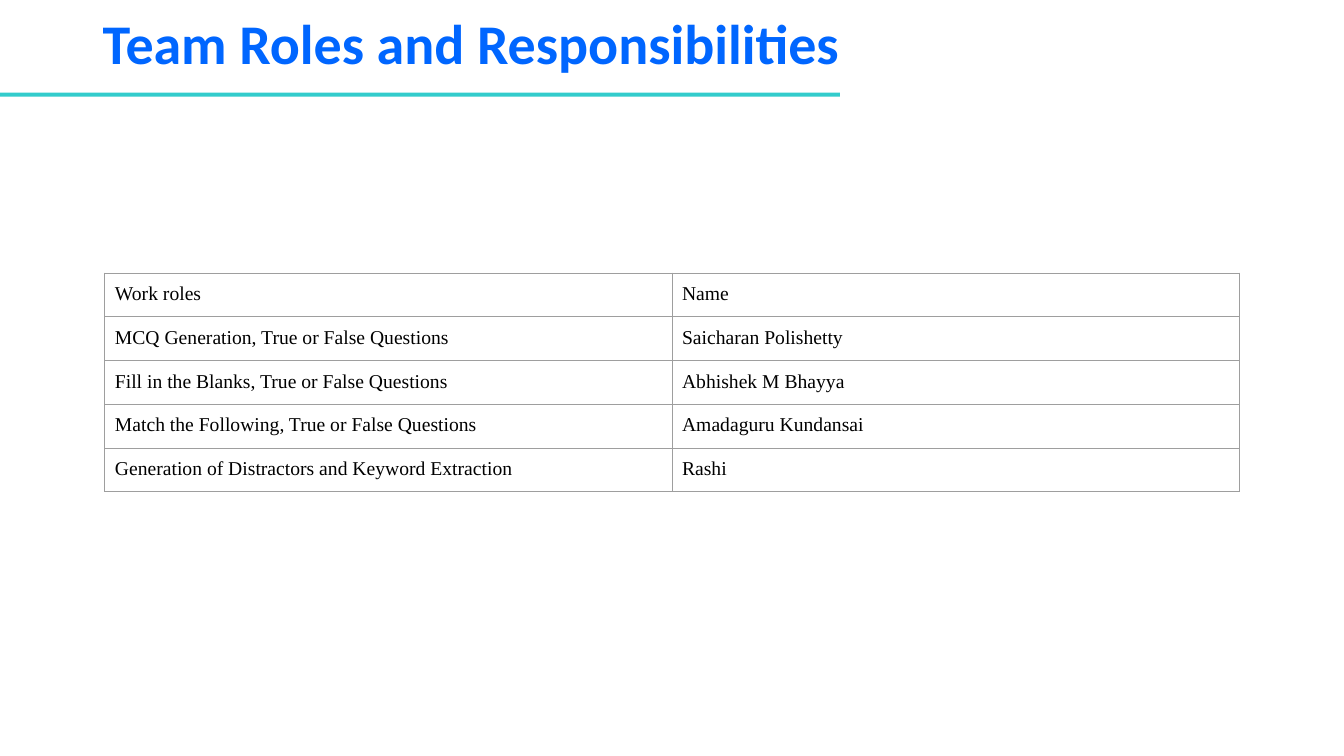
"""Builds the team roles and responsibilities slide."""
import dataclasses

import lxml.etree
import pptx
import pptx.dml.color
import pptx.enum.shapes
import pptx.enum.text
import pptx.oxml.ns
import pptx.util

Inches = pptx.util.Inches
Pt = pptx.util.Pt
RGB = pptx.dml.color.RGBColor.from_string


@dataclasses.dataclass(frozen=True)
class Theme:
    """Colours, fonts and type sizes of the slide."""
    title_color: str = "0066FF"
    rule_color: str = "33CCCC"
    text_color: str = "000000"
    border_color: str = "9E9E9E"
    title_font: str = "Calibri"
    body_font: str = "Times New Roman"
    title_size: int = 40
    body_size: int = 14
    border_width: float = 0.75


class Deck:
    """Holds the theme and the current slide."""

    def __init__(self, theme):
        self.theme = theme
        self.prs = pptx.Presentation()
        self.prs.slide_width = Inches(13.33)
        self.prs.slide_height = Inches(7.5)
        self.s = self.prs.slides.add_slide(self.prs.slide_layouts[6])

    def run(self, p, text, font, size, color, bold=False):
        """Adds one styled run to a paragraph."""
        r = p.add_run()
        r.text = text
        r.font.name = font
        r.font.size = Pt(size)
        r.font.bold = bold
        r.font.color.rgb = RGB(color)

    def bar(self, x, y, w, h):
        """Draws the rule below the title."""
        sp = self.s.shapes.add_shape(
            pptx.enum.shapes.MSO_SHAPE.RECTANGLE,
            Inches(x), Inches(y), Inches(w), Inches(h))
        sp.shadow.inherit = False
        sp.fill.solid()
        sp.fill.fore_color.rgb = RGB(self.theme.rule_color)
        sp.line.fill.background()

    def title(self, text, x, y, w, h):
        """Writes the slide title."""
        t = self.theme
        sp = self.s.shapes.add_textbox(Inches(x), Inches(y), Inches(w), Inches(h))
        tf = sp.text_frame
        tf.word_wrap = True
        tf.vertical_anchor = pptx.enum.text.MSO_ANCHOR.MIDDLE
        p = tf.paragraphs[0]
        p.line_spacing = 0.9
        self.run(p, text, t.title_font, t.title_size, t.title_color, bold=True)

    def border(self, cell):
        """Outlines the four sides of a cell."""
        qn = pptx.oxml.ns.qn
        tc_pr = cell._tc.get_or_add_tcPr()
        for i, side in enumerate(("a:lnL", "a:lnR", "a:lnT", "a:lnB")):
            ln = lxml.etree.Element(qn(side), w=str(Pt(self.theme.border_width)))
            fill = lxml.etree.SubElement(ln, qn("a:solidFill"))
            lxml.etree.SubElement(fill, qn("a:srgbClr"), val=self.theme.border_color)
            tc_pr.insert(i, ln)

    def table(self, rows, x, y, w, h):
        """Adds a plain bordered table."""
        t = self.theme
        tbl = self.s.shapes.add_table(
            len(rows), len(rows[0]), Inches(x), Inches(y), Inches(w), Inches(h)).table
        tbl.first_row = False
        tbl.horz_banding = False
        for i, row in enumerate(rows):
            for j, text in enumerate(row):
                cell = tbl.cell(i, j)
                cell.fill.background()
                cell.margin_left = cell.margin_right = Inches(0.1)
                cell.margin_top = cell.margin_bottom = Inches(0.1)
                self.border(cell)
                self.run(cell.text_frame.paragraphs[0], text,
                         t.body_font, t.body_size, t.text_color)

    def save(self):
        """Saves the presentation."""
        self.prs.save("out.pptx")


ROLES = [
    ("Work roles", "Name"),
    ("MCQ Generation, True or False Questions", "Saicharan Polishetty"),
    ("Fill in the Blanks, True or False Questions", "Abhishek M Bhayya"),
    ("Match the Following, True or False Questions", "Amadaguru Kundansai"),
    ("Generation of Distractors and Keyword Extraction", "Rashi"),
]


def main():
    """Builds and saves the slide."""
    deck = Deck(Theme())
    deck.bar(0, 0.92, 8.33, 0.04)
    deck.title("Team Roles and Responsibilities", 0.92, 0, 11.5, 0.92)
    deck.table(ROLES, 1.04, 2.71, 11.25, 2.08)
    deck.save()


if __name__ == "__main__":
    main()
